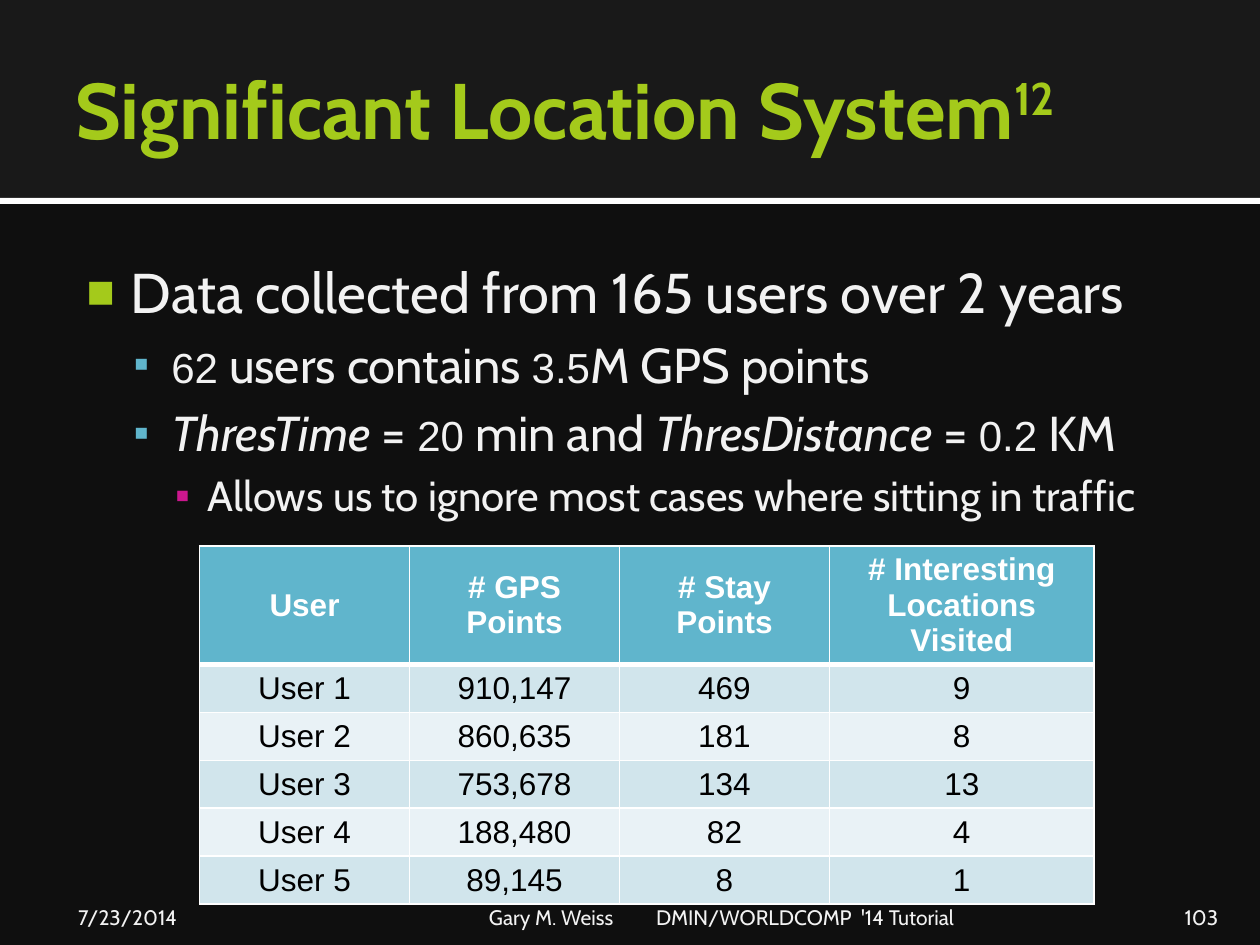
from lxml import etree
from pptx import Presentation
from pptx.dml.color import RGBColor
from pptx.enum import shapes, text
from pptx.oxml import ns
from pptx.util import Pt

COLOURS = {
    "page": "0F0F0F", "band": "191919", "white": "FFFFFF", "black": "000000",
    "title": "A4CA1B", "body": "F2F2F2", "blue": "60B5CC", "pink": "CB178E",
    "odd row": "D1E5EC", "even row": "E9F2F6",
}
LEFT, CENTER, RIGHT = text.PP_ALIGN.LEFT, text.PP_ALIGN.CENTER, text.PP_ALIGN.RIGHT

# level: left indent, hanging indent, space before, bullet, bullet colour
LEVELS = [
    (34.5, -25.2, 0, "◼", "title"),
    (57.6, -21.6, 5.6, "▪", "blue"),
    (78.5, -18.7, 4.8, "▪", "pink"),
]
WORDS = {"size": 28}
NUMBER = {"size": 24, "name": "Arial"}
ITALIC = {"size": 28, "italic": True}
# level, bullet size in percent, spans
BULLETS = [
    (0, 80, [("Data collected from 165 users over 2 years", {"size": 32})]),
    (1, 105, [("62", NUMBER), (" users contains ", WORDS), ("3.5", NUMBER),
              ("M GPS points", WORDS)]),
    (1, 90, [("ThresTime", ITALIC), (" = ", WORDS), ("20", NUMBER),
             (" min and ", WORDS), ("ThresDistance", ITALIC), (" = ", WORDS),
             ("0.2", NUMBER), (" KM", WORDS)]),
    (2, 100, [("Allows us to ignore most cases where sitting in traffic", {"size": 24})]),
]
USERS = [
    ("User", "# GPS Points", "# Stay Points", "# Interesting Locations Visited"),
    ("User 1", "910,147", "469", "9"),
    ("User 2", "860,635", "181", "8"),
    ("User 3", "753,678", "134", "13"),
    ("User 4", "188,480", "82", "4"),
    ("User 5", "89,145", "8", "1"),
]


def colour(name):
    return RGBColor.from_string(COLOURS[name])


def add_xml(parent, tag, **attributes):
    return etree.SubElement(parent, ns.qn(tag), attributes)


class Page:
    def __init__(self, deck):
        self.slide = deck.slides.add_slide(deck.slide_layouts[1])
        self.style = {"name": "Cabin", "size": 12, "color": "body", "bold": False}
        fill = self.slide.background.fill
        fill.solid()
        fill.fore_color.rgb = colour("page")

    def span(self, para, words, **changes):
        span = para.add_run()
        span.text = words
        for key, value in {**self.style, **changes}.items():
            if key == "color":
                span.font.color.rgb = colour(value)
            else:
                setattr(span.font, key, Pt(value) if key == "size" else value)
        return span

    def frame(self, box, place, insets, anchor):
        for key, value in zip(("left", "top", "width", "height"), place):
            setattr(box, key, Pt(value))
        frame = box.text_frame
        for side, value in zip(("left", "top", "right", "bottom"), insets):
            setattr(frame, f"margin_{side}", Pt(value))
        formats = {"word_wrap": True, "vertical_anchor": anchor,
                   "auto_size": text.MSO_AUTO_SIZE.NONE}
        for key, value in formats.items():
            setattr(frame, key, value)
        return frame

    def band(self, top, height, fill):
        """Add a full-width bar behind the placeholders."""
        bar = self.slide.shapes.add_shape(
            shapes.MSO_SHAPE.RECTANGLE, 0, Pt(top), Pt(720), Pt(height))
        bar.shadow.inherit = False
        bar.fill.solid()
        bar.fill.fore_color.rgb = colour(fill)
        bar.line.fill.background()
        self.slide.shapes._spTree.insert(2, bar._element)

    def title(self, words, note):
        frame = self.frame(self.slide.shapes.title, (36, 12.2, 648, 98.6),
                           (7.2, 3.6, 3.6, 3.6), text.MSO_ANCHOR.MIDDLE)
        para = frame.paragraphs[0]
        para.alignment = LEFT
        look = {"size": 45, "color": "title", "bold": True}
        self.span(para, words, **look)
        raised = self.span(para, note, **look)
        raised.font._element.set("baseline", "30000")

    def bullets(self, items):
        frame = self.frame(self.slide.placeholders[1], (36, 139.7, 660, 364.3),
                           (4.3, 7.2, 7.2, 3.6), text.MSO_ANCHOR.TOP)
        for index, (level, percent, spans) in enumerate(items):
            para = frame.add_paragraph() if index else frame.paragraphs[0]
            left, hanging, before, mark, tint = LEVELS[level]
            para.level = level
            para.space_before = Pt(before)
            props = para._p.get_or_add_pPr()
            props.set("marL", str(Pt(left)))
            props.set("indent", str(Pt(hanging)))
            add_xml(add_xml(props, "a:buClr"), "a:srgbClr", val=COLOURS[tint])
            add_xml(props, "a:buSzPct", val=str(percent * 1000))
            add_xml(props, "a:buChar", char=mark)
            for words, changes in spans:
                self.span(para, words, **changes)

    def footer(self, words, left, width, inset, align=LEFT, tab=None):
        box = self.slide.shapes.add_textbox(0, 0, 0, 0)
        frame = self.frame(box, (left, 509.8, width, 21.6),
                           (inset, 3.6, 7.2 if align == RIGHT else 3.6, 0),
                           text.MSO_ANCHOR.BOTTOM)
        para = frame.paragraphs[0]
        para.alignment = align
        if tab:
            stops = add_xml(para._p.get_or_add_pPr(), "a:tabLst")
            add_xml(stops, "a:tab", pos=str(Pt(tab)), algn="l")
        self.span(para, words)

    def borders(self, cell, top, bottom):
        props = cell._tc.get_or_add_tcPr()
        for side, width in (("L", 1), ("R", 1), ("T", top), ("B", bottom)):
            line = add_xml(props, f"a:ln{side}", w=str(Pt(width)))
            add_xml(add_xml(line, "a:solidFill"), "a:srgbClr", val=COLOURS["white"])

    def table(self, rows, left, top, widths, heights):
        table = self.slide.shapes.add_table(
            len(rows), len(widths), Pt(left), Pt(top),
            Pt(sum(widths)), Pt(sum(heights))).table
        for column, width in zip(table.columns, widths):
            column.width = Pt(width)
        for r, values in enumerate(rows):
            table.rows[r].height = Pt(heights[r])
            header = r == 0
            fill = "blue" if header else "odd row" if r % 2 else "even row"
            for c, value in enumerate(values):
                cell = table.cell(r, c)
                cell.vertical_anchor = text.MSO_ANCHOR.MIDDLE
                self.borders(cell, 3 if r == 1 else 1, 3 if header else 1)
                cell.fill.solid()
                cell.fill.fore_color.rgb = colour(fill)
                para = cell.text_frame.paragraphs[0]
                para.alignment = CENTER
                self.span(para, value, name="Arial", size=18, bold=header,
                          color="white" if header else "black")


def main():
    deck = Presentation()
    deck.slide_width, deck.slide_height = Pt(720), Pt(540)
    page = Page(deck)
    page.band(0, 113, "band")
    page.band(113, 3.6, "white")
    page.title("Significant Location System", "12")
    page.bullets(BULLETS)
    page.footer("7/23/2014", 36, 168, 8.6)
    page.footer("Gary M. Weiss\tDMIN/WORLDCOMP  '14 Tutorial", 275.8, 365.8, 3.6, tab=95.5)
    page.footer("103", 645.8, 57.6, 7.2, align=RIGHT)
    page.table(USERS, 114, 312, [120, 120, 120, 151.2], [44.6] + [25.2] * 5)
    deck.save("out.pptx")


if __name__ == "__main__":
    main()
